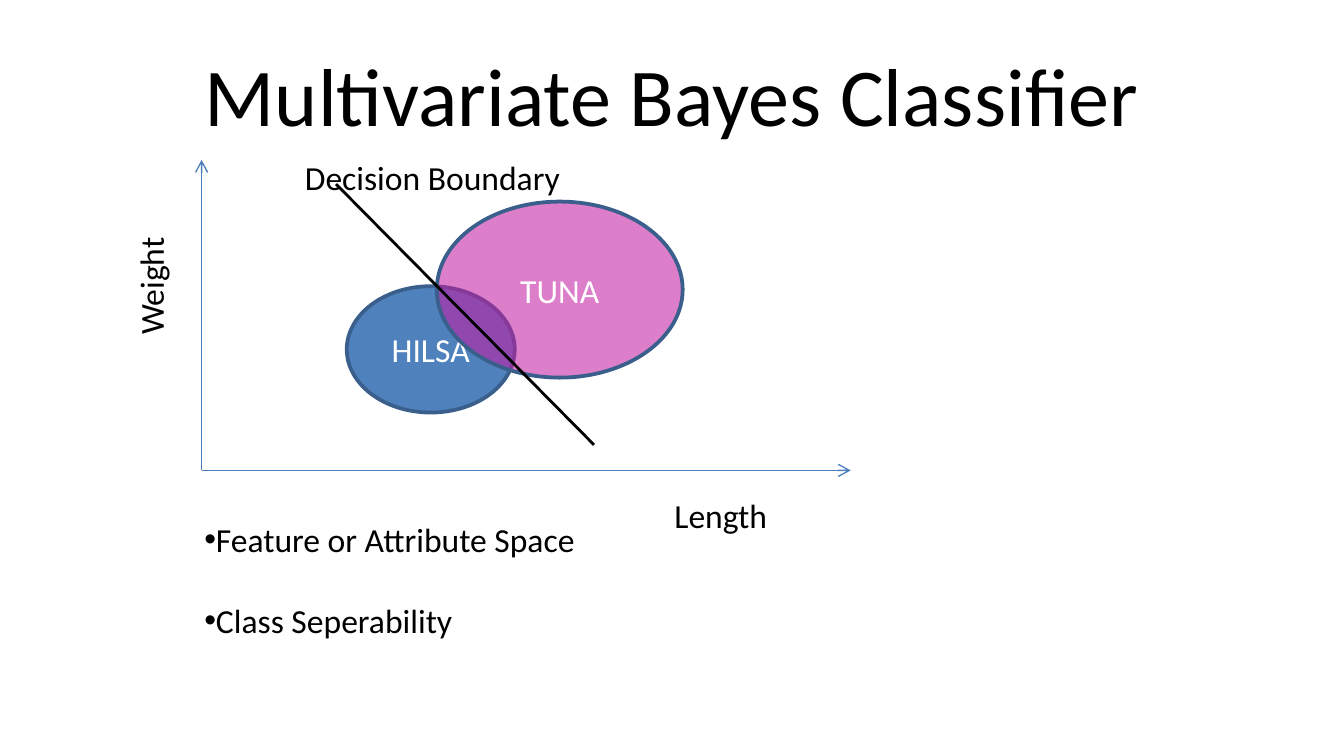
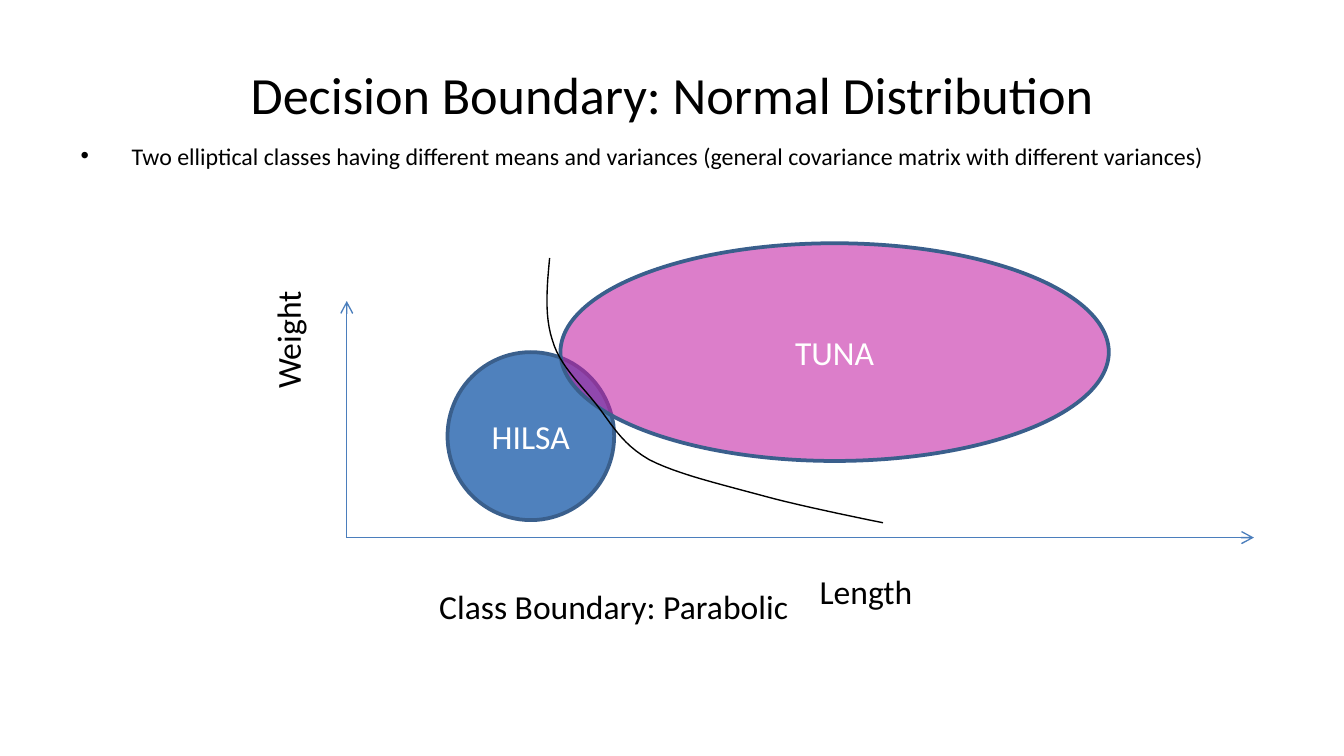
from dataclasses import dataclass

from lxml.etree import SubElement
from pptx import Presentation
from pptx.dml.color import RGBColor
from pptx.enum.shapes import MSO_CONNECTOR, MSO_SHAPE
from pptx.enum.text import MSO_ANCHOR, MSO_AUTO_SIZE, PP_ALIGN
from pptx.oxml.ns import qn
from pptx.util import Pt

EMU_PER_PX = 9144  # 100 px to the inch


@dataclass(frozen=True)
class Theme:
    font: str = "Calibri"
    ink: str = "000000"
    label: str = "FFFFFF"
    axis: str = "4B7EBC"
    outline: str = "3A5F8C"
    hilsa: str = "4F81BD"
    tuna: str = "C31DA3"
    tuna_alpha: int = 57
    title_size: float = 44
    long_title_size: float = 28
    text_size: float = 18
    note_size: float = 12.8
    thin: float = 0.75
    medium: float = 1.5
    thick: float = 2


THEME = Theme()


def px(*lengths):
    return [round(n * EMU_PER_PX) for n in lengths]


# Text and line formatting
def add_run(p, text, size=THEME.text_size, color=THEME.ink):
    r = p.add_run()
    r.text = text
    r.font.name = THEME.font
    r.font.size = Pt(size)
    r.font.color.rgb = RGBColor.from_string(color)


def set_line(s, color, width):
    s.line.color.rgb = RGBColor.from_string(color)
    s.line.width = Pt(width)


def place(s, box):
    s.left, s.top, s.width, s.height = px(*box)


# Placeholders
def add_slide(prs, title, size):
    s = prs.slides.add_slide(prs.slide_layouts[1])
    place(s.shapes.title, (50, 23, 900, 94))
    tf = s.shapes.title.text_frame
    tf.auto_size = MSO_AUTO_SIZE.NONE
    add_run(tf.paragraphs[0], title, size)
    return s


def fill_body(s, box, items, size, indent, gap=None, wrap=True):
    body = s.placeholders[1]
    place(body, box)
    tf = body.text_frame
    tf.auto_size = MSO_AUTO_SIZE.NONE
    tf.word_wrap = wrap
    for i, item in enumerate(items):
        p = tf.add_paragraph() if i else tf.paragraphs[0]
        pPr = p._p.get_or_add_pPr()
        pPr.set("marL", str(indent * EMU_PER_PX))
        pPr.set("indent", str(-indent * EMU_PER_PX))
        if gap is not None:
            p.space_before = Pt(gap if i else 0)
        add_run(p, item, size)


# Diagram parts
def add_line(shapes, start, end, color, width, arrow=False):
    c = shapes.add_connector(MSO_CONNECTOR.STRAIGHT, *px(*start, *end))
    set_line(c, color, width)
    if arrow:
        SubElement(c.line._get_or_add_ln(), qn("a:tailEnd"), type="arrow")
    SubElement(c._element.spPr, qn("a:effectLst"))


def add_axes(shapes, origin, right, top):
    x, y = origin
    for end in ((right, y), (x, top)):
        add_line(shapes, origin, end, THEME.axis, THEME.thin, arrow=True)


def add_class(shapes, box, name, color, alpha=None):
    sp = shapes.add_shape(MSO_SHAPE.OVAL, *px(*box))
    sp.shadow.inherit = False
    sp.fill.solid()
    sp.fill.fore_color.rgb = RGBColor.from_string(color)
    if alpha is not None:
        clr = sp._element.spPr.find(qn("a:solidFill")).find(qn("a:srgbClr"))
        SubElement(clr, qn("a:alpha"), val=str(alpha * 1000))
    set_line(sp, THEME.outline, THEME.thick)
    tf = sp.text_frame
    tf.vertical_anchor = MSO_ANCHOR.MIDDLE
    p = tf.paragraphs[0]
    p.alignment = PP_ALIGN.CENTER
    add_run(p, name, color=THEME.label)


def add_classes(shapes, hilsa_box, tuna_box):
    add_class(shapes, hilsa_box, "HILSA", THEME.hilsa)
    add_class(shapes, tuna_box, "TUNA", THEME.tuna, THEME.tuna_alpha)


def add_label(shapes, box, text, rotation=0, wrap=False):
    sp = shapes.add_textbox(*px(*box))
    sp.rotation = rotation
    tf = sp.text_frame
    tf.word_wrap = wrap
    tf.auto_size = MSO_AUTO_SIZE.SHAPE_TO_FIT_TEXT
    add_run(tf.paragraphs[0], text)


def bezier(a, b, c, d, t):
    u = 1 - t
    return tuple(u**3 * i + 3 * u * u * t * j + 3 * u * t * t * k + t**3 * m
                 for i, j, k, m in zip(a, b, c, d))


def add_curve(shapes, start, segments, steps=12):
    points, last = [], start
    for c1, c2, end in segments:
        points += [bezier(last, c1, c2, end, n / steps) for n in range(1, steps + 1)]
        last = end
    fb = shapes.build_freeform(*px(*start))
    fb.add_line_segments([px(*pt) for pt in points], close=False)
    sp = fb.convert_to_shape()
    sp.shadow.inherit = False
    sp.fill.background()
    set_line(sp, THEME.ink, THEME.thin)


# Slides
def classifier_slide(prs):
    s = add_slide(prs, "Multivariate Bayes Classifier", THEME.title_size)
    shapes = s.shapes.add_group_shape().shapes
    add_axes(shapes, (150, 350), right=633, top=119)
    add_classes(shapes, (258, 213, 125, 94), (325, 150, 183, 131))
    add_label(shapes, (492, 363, 90, 40), "Length")
    add_label(shapes, (65, 192, 94, 40), "Weight", rotation=270)
    add_line(shapes, (250, 137), (442, 331), THEME.ink, THEME.medium)
    add_label(shapes, (217, 112, 212, 40), "Decision Boundary")
    fill_body(s, (142, 381, 300, 101),
              ["Feature or Attribute Space", "Class Seperability"],
              THEME.text_size, indent=0, gap=22, wrap=False)


def distribution_slide(prs):
    s = add_slide(prs, "Decision Boundary: Normal Distribution", THEME.long_title_size)
    fill_body(s, (50, 100, 900, 44),
              ["Two elliptical classes having different means and variances "
               "(general covariance matrix with different variances)"],
              THEME.note_size, indent=38)
    shapes = s.shapes
    add_axes(shapes, (258, 400), right=933, top=224)
    add_classes(shapes, (333, 262, 124, 125), (417, 181, 408, 162))
    add_label(shapes, (600, 420, 158, 40), "Length", wrap=True)
    add_label(shapes, (143, 208, 142, 40), "Weight", rotation=270, wrap=True)
    add_label(shapes, (317, 431, 283, 40), "Class Boundary: Parabolic")
    add_curve(shapes, (409, 192), [
        ((407, 213), (405, 235), (411, 253)),
        ((416, 271), (431, 285), (443, 300)),
        ((455, 315), (462, 330), (483, 342)),
        ((504, 353), (539, 361), (568, 369)),
        ((597, 377), (657, 389), (657, 389)),
    ])


def main():
    prs = Presentation()
    prs.slide_width, prs.slide_height = px(1000, 1000 * 9 / 16)
    classifier_slide(prs)
    distribution_slide(prs)
    prs.save("out.pptx")


if __name__ == "__main__":
    main()
